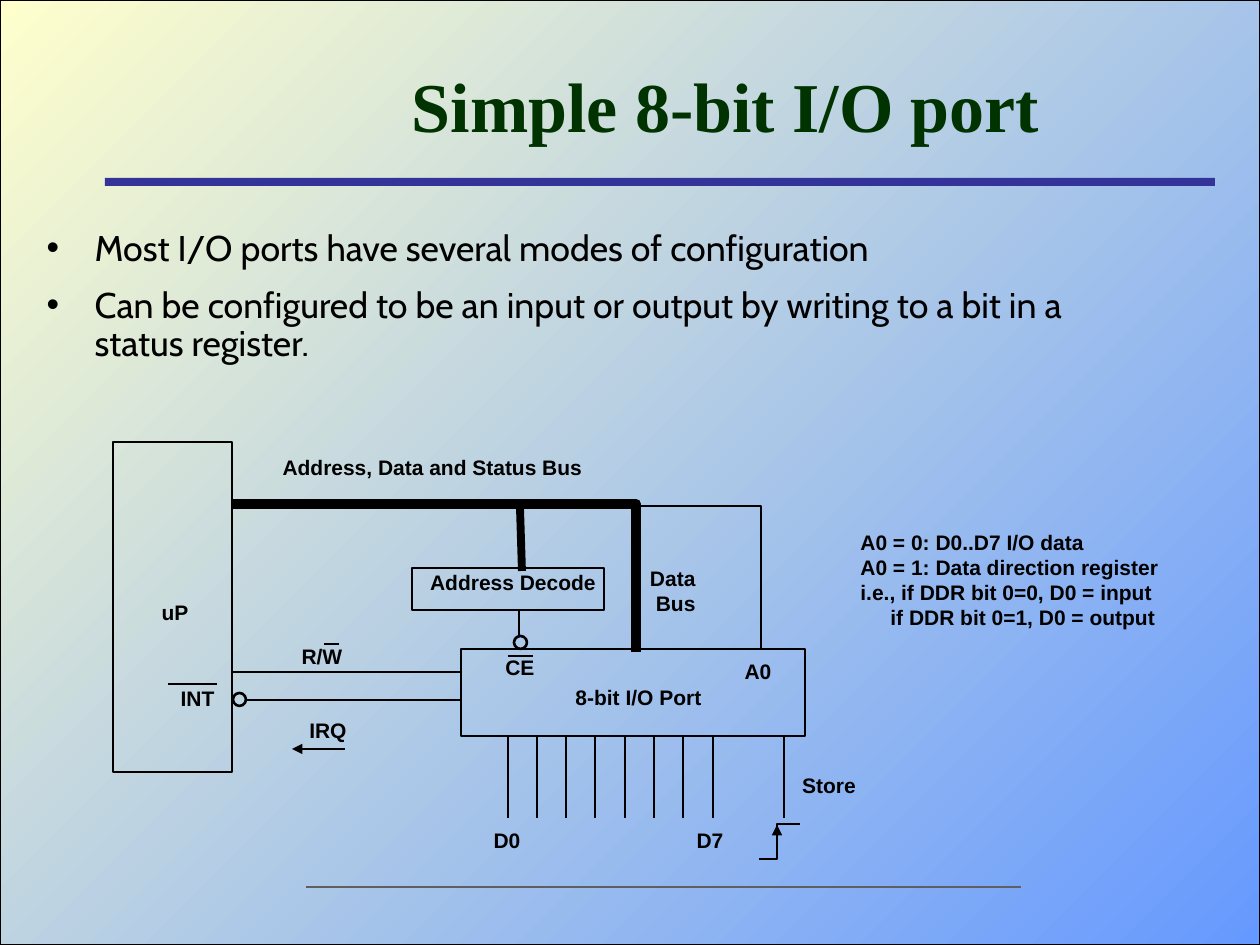
from dataclasses import dataclass

from lxml import etree
from pptx import Presentation
from pptx.dml.color import RGBColor
from pptx.enum.shapes import MSO_CONNECTOR, MSO_SHAPE
from pptx.enum.text import MSO_ANCHOR, MSO_AUTO_SIZE, PP_ALIGN
from pptx.oxml.ns import qn
from pptx.util import Pt

RECTANGLE, OVAL = MSO_SHAPE.RECTANGLE, MSO_SHAPE.OVAL
STRAIGHT = MSO_CONNECTOR.STRAIGHT
LEFT, CENTER, RIGHT = PP_ALIGN.LEFT, PP_ALIGN.CENTER, PP_ALIGN.RIGHT
MIDDLE, TOP = MSO_ANCHOR.MIDDLE, MSO_ANCHOR.TOP
NO_FIT, GROW = MSO_AUTO_SIZE.NONE, MSO_AUTO_SIZE.SHAPE_TO_FIT_TEXT
EMU_PER_PX = 914400 / 126
WIDTH, HEIGHT = 1260, 945
LABEL_HEIGHT = 38
LABEL_SLACK = 5  # spare room on each side, so that no label wraps


@dataclass(frozen=True)
class Theme:
    ink: str = "000000"
    title: str = "003300"
    rule: str = "333399"
    footer: str = "5F5F5F"
    sky: str = "6699FF"
    cream: str = "FFFFCC"
    title_font: str = "Times New Roman"
    body_font: str = "Cabin"
    label_font: str = "Arial"
    title_size: float = 40
    body_size: float = 20.4
    label_size: float = 12
    thin: float = 0.75
    wire: float = 1.5
    tap: float = 4.5
    bus: float = 6


def px(value):
    return round(value * EMU_PER_PX)


def rgb(color):
    return RGBColor.from_string(color)


def add_xml(parent, tag, **attributes):
    return etree.SubElement(parent, qn(tag), **attributes)


class SlideBuilder:
    def __init__(self, slide, theme):
        self.slide = slide
        self.shapes = slide.shapes
        self.theme = theme

    def place(self, shape, left, top, width, height):
        shape.left, shape.top = px(left), px(top)
        shape.width, shape.height = px(width), px(height)

    def stroke(self, shape, width, color=None):
        shape.line.color.rgb = rgb(color or self.theme.ink)
        shape.line.width = Pt(width)

    def style(self, paragraph, font, size, color, bold=False):
        paragraph.font.name = font
        paragraph.font.size = Pt(size)
        paragraph.font.color.rgb = rgb(color)
        paragraph.font.bold = bold

    def outline(self, kind, left, top, width, height):
        shape = self.shapes.add_shape(kind, *map(px, (left, top, width, height)))
        shape.shadow.inherit = False
        shape.fill.background()
        self.stroke(shape, self.theme.wire)
        return shape

    def backdrop(self):
        shape = self.outline(RECTANGLE, 0, 0, WIDTH, HEIGHT)
        self.stroke(shape, self.theme.thin)
        shape.fill.gradient()
        shape.fill.gradient_angle = 135
        for stop, color in zip(shape.fill.gradient_stops, (self.theme.sky, self.theme.cream)):
            stop.color.rgb = rgb(color)
        # Send behind the placeholders
        self.shapes._spTree.insert(2, shape._element)

    def bar(self, left, top, width, height, color):
        shape = self.outline(RECTANGLE, left, top, width, height)
        shape.fill.solid()
        shape.fill.fore_color.rgb = rgb(color)
        shape.line.fill.background()

    def line(self, x1, y1, x2, y2, width=None, color=None, arrow=False):
        connector = self.shapes.add_connector(STRAIGHT, *map(px, (x1, y1, x2, y2)))
        self.stroke(connector, width or self.theme.wire, color)
        if arrow:
            add_xml(connector.line._get_or_add_ln(), "a:tailEnd", type="triangle")
        add_xml(connector._element.spPr, "a:effectLst")

    def polyline(self, points, width=None):
        start, *rest = [(px(x), px(y)) for x, y in points]
        builder = self.shapes.build_freeform(*start)
        builder.add_line_segments(rest, close=False)
        shape = builder.convert_to_shape()
        shape.shadow.inherit = False
        shape.fill.background()
        self.stroke(shape, width or self.theme.wire)

    def label(self, text, left, top, width, height=LABEL_HEIGHT, align=CENTER, anchor=MIDDLE):
        box = self.shapes.add_textbox(*map(px, (left, top, width, height)))
        frame = box.text_frame
        frame.text = text
        frame.word_wrap = False
        frame.auto_size = GROW
        frame.vertical_anchor = anchor
        for paragraph in frame.paragraphs:
            paragraph.alignment = align
            self.style(paragraph, self.theme.label_font, self.theme.label_size,
                       self.theme.ink, bold=True)
        return frame

    def title(self, text, *box):
        shape = self.shapes.title
        self.place(shape, *box)
        frame = shape.text_frame
        frame.text = text
        frame.auto_size = NO_FIT
        frame.vertical_anchor = MIDDLE
        paragraph = frame.paragraphs[0]
        paragraph.alignment = CENTER
        self.style(paragraph, self.theme.title_font, self.theme.title_size,
                   self.theme.title, bold=True)

    def bullets(self, items, *box):
        shape = self.slide.placeholders[1]
        self.place(shape, *box)
        frame = shape.text_frame
        frame.text = "\n".join(items)
        frame.auto_size = NO_FIT
        frame.vertical_anchor = TOP
        for index, paragraph in enumerate(frame.paragraphs):
            properties = paragraph._p.get_or_add_pPr()
            properties.set("marL", str(px(48)))
            properties.set("indent", str(px(-48)))
            add_xml(add_xml(properties, "a:buClr"), "a:srgbClr", val=self.theme.ink)
            add_xml(properties, "a:buFont", typeface=self.theme.label_font)
            add_xml(properties, "a:buChar", char="•")
            paragraph.line_spacing = 0.9
            paragraph.space_before = Pt(10.5 if index else 0)
            self.style(paragraph, self.theme.body_font, self.theme.body_size, self.theme.ink)


def main():
    theme = Theme()
    presentation = Presentation()
    presentation.slide_width, presentation.slide_height = px(WIDTH), px(HEIGHT)
    page = SlideBuilder(presentation.slides.add_slide(presentation.slide_layouts[1]), theme)

    # Page frame, title and bullets
    page.backdrop()
    page.bar(105, 178, 1110, 8, theme.rule)
    page.line(306, 887, 1021, 887, color=theme.footer)
    page.title("Simple 8-bit I/O port", 238, 43, 975, 123)
    page.bullets(["Most I/O ports have several modes of configuration",
                  "Can be configured to be an input or output by writing to a bit "
                  "in a status register."], 34, 224, 1123, 159)

    # Processor, address decoder and port, with their inverting pins
    for box in ((113, 442, 119, 330), (412, 568, 192, 42), (461, 649, 344, 87)):
        page.outline(RECTANGLE, *box)
    for left, top in ((233, 693), (514, 636)):
        page.outline(OVAL, left, top, 13, 13)

    # Buses and address wire
    page.polyline([(233, 504), (636, 504), (636, 652)], theme.bus)
    page.line(520, 507, 522, 571, theme.tap)
    page.polyline([(761, 648), (761, 506), (639, 506)])

    # Control wires and the interrupt arrow
    page.line(519, 609, 519, 636)
    page.line(460, 672, 233, 672)
    page.line(247, 700, 461, 700)
    page.line(345, 749, 292, 749, arrow=True)

    # Bars over active-low names
    for start, end, y in ((168, 217, 684), (508, 533, 656), (324, 339, 644)):
        page.line(start, y, end, y)

    # Data pins D0 to D7, store pin and its rising edge
    for x in [508 + 205 * pin // 7 for pin in range(8)] + [784]:
        page.line(x, 737, x, 818)
    page.polyline([(759, 859), (777, 859), (777, 824), (800, 824)])
    page.line(777, 856, 777, 825, arrow=True)

    # Labels
    for text, left, top, width in (
        ("uP", 149, 593, 52),
        ("Address, Data and Status Bus", 270, 448, 325),
        ("INT", 168, 679, 59),
        ("IRQ", 297, 711, 62),
        ("8-bit I/O Port", 563, 678, 151),
        ("Store", 790, 766, 78),
        ("CE", 493, 648, 54),
        ("Address Decode", 418, 563, 190),
        ("A0", 732, 652, 52),
        ("D0", 481, 821, 52),
        ("D7", 684, 821, 52),
        ("R/W", 289, 637, 66),
    ):
        page.label(text, left - LABEL_SLACK, top, width + 2 * LABEL_SLACK)
    page.label("Data\nBus", 632, 559, 76, 63, RIGHT)

    # Register notes
    notes = page.label("A0 = 0: D0..D7 I/O data\nA0 = 1: Data direction register\n"
                       "i.e., if DDR bit 0=0, D0 = input\nif DDR bit 0=1, D0 = output",
                       848, 523, 335, 114, LEFT, TOP)
    notes.paragraphs[-1]._p.get_or_add_pPr().set("marL", str(px(30)))

    presentation.save("out.pptx")


if __name__ == "__main__":
    main()
